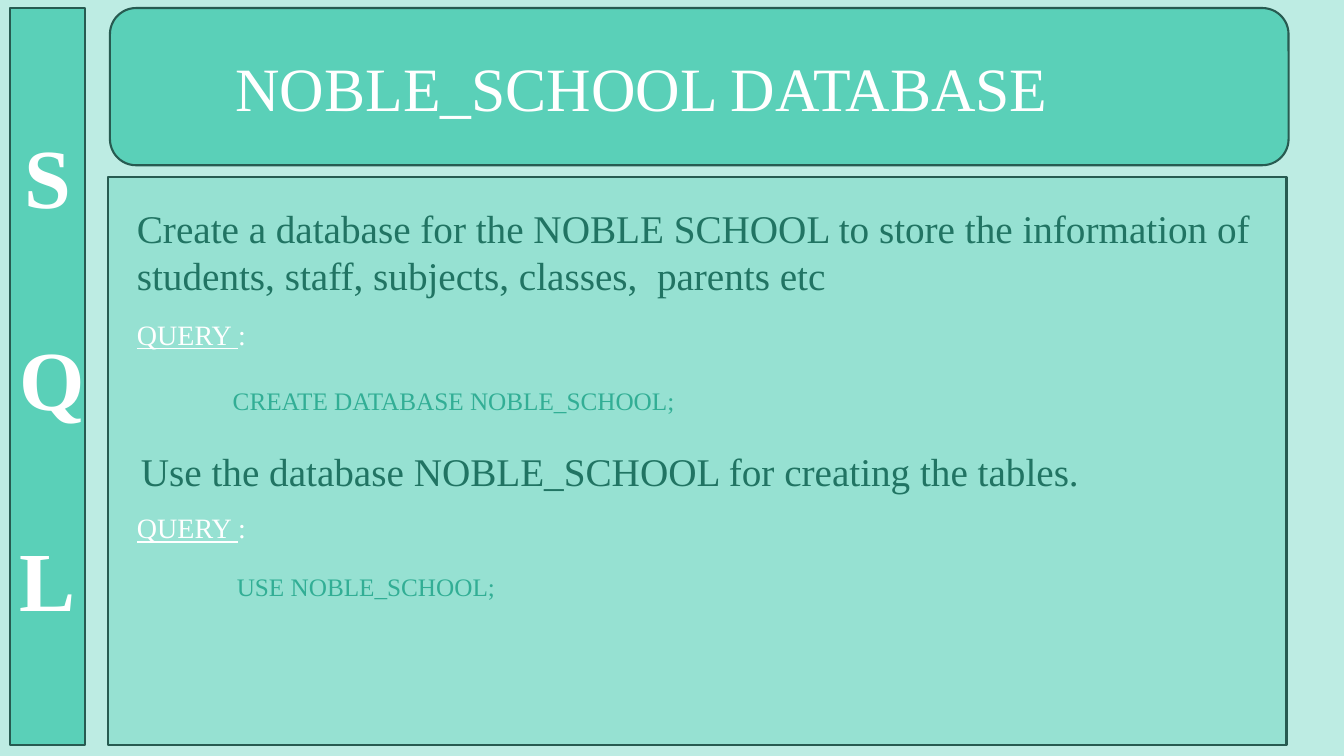
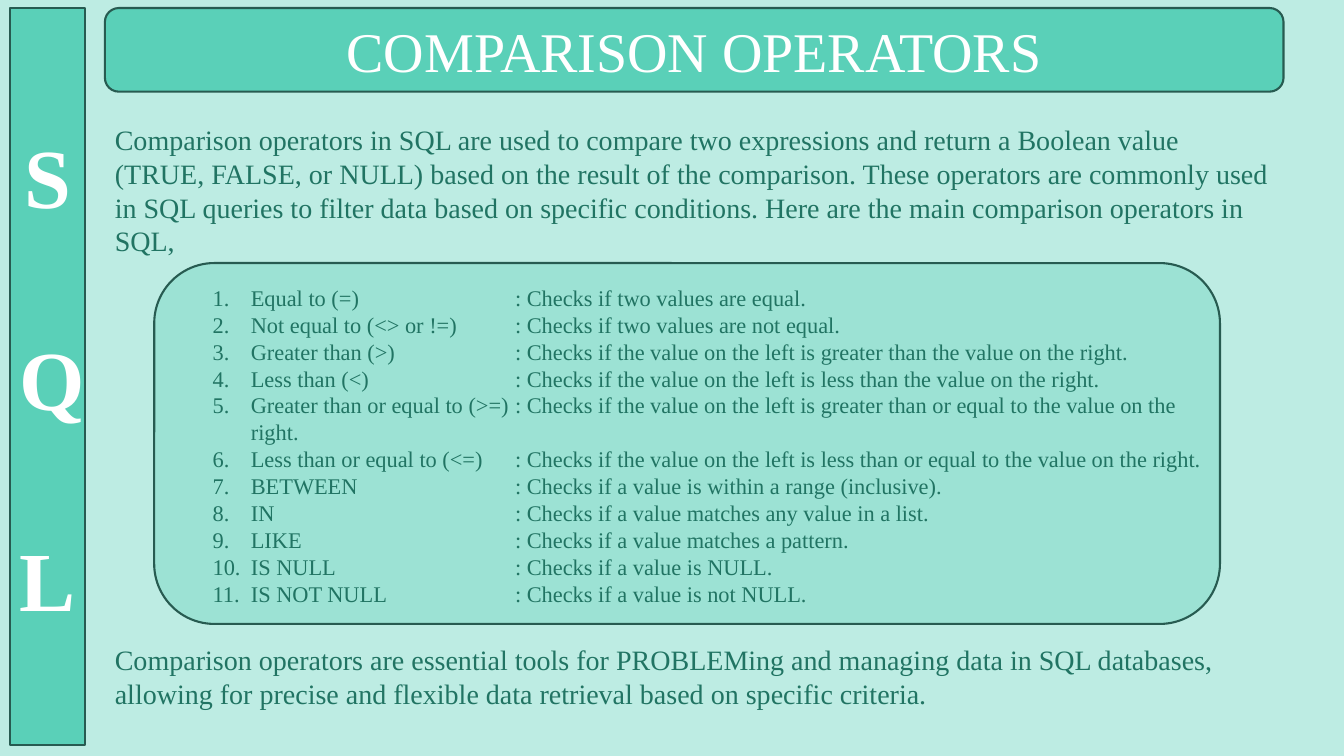
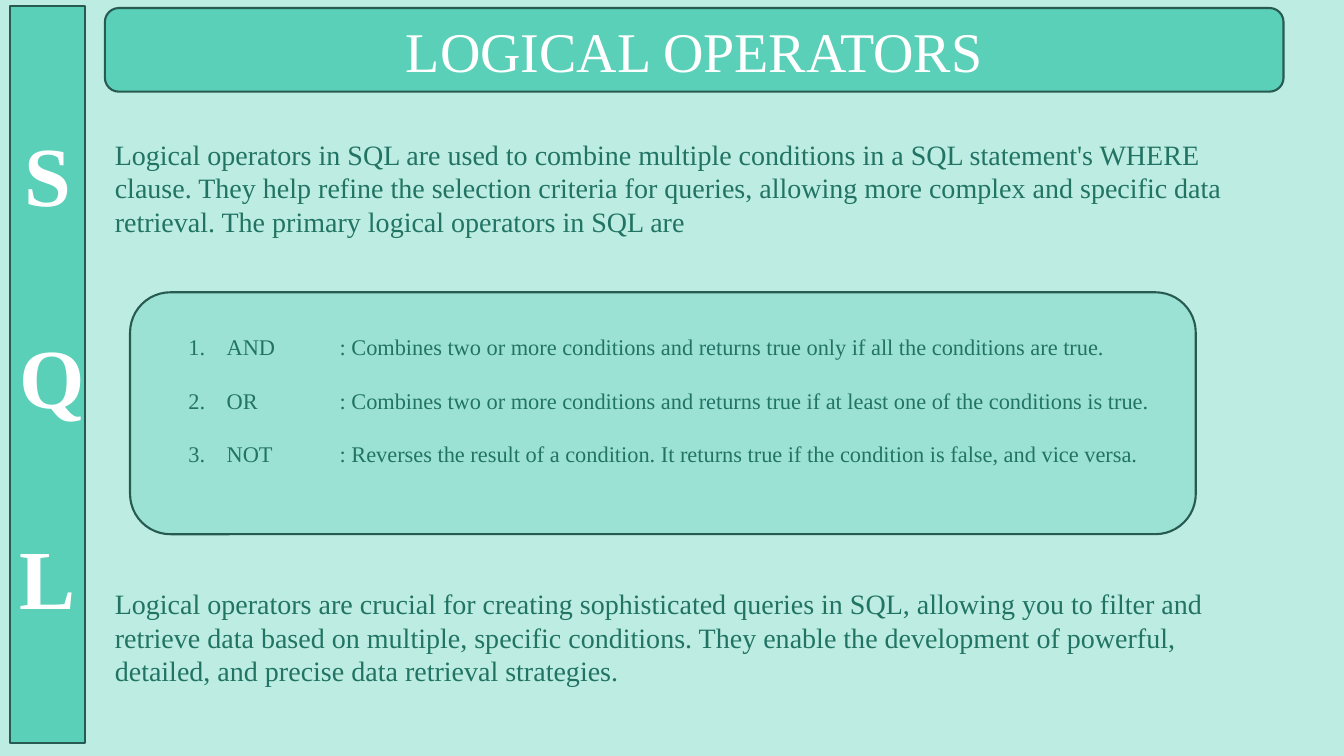
import pptx
import pptx.dml.color
import pptx.enum.shapes
import pptx.enum.text
import pptx.util
from pptx.oxml.xmlchemy import OxmlElement

RGB = pptx.dml.color.RGBColor
PALE = RGB(0xBD, 0xEC, 0xE3)
MINT = RGB(0x5A, 0xD0, 0xB8)
EDGE = RGB(0x27, 0x5B, 0x51)
DARK = RGB(0x21, 0x74, 0x63)
CODE = RGB(0x32, 0xAE, 0x95)
WHITE = RGB(0xFF, 0xFF, 0xFF)

FONT = "Times New Roman"
PX = 9144  # 100 px to the inch
RECT = pptx.enum.shapes.MSO_SHAPE.RECTANGLE
ROUND = pptx.enum.shapes.MSO_SHAPE.ROUNDED_RECTANGLE
LEFT = pptx.enum.text.PP_ALIGN.LEFT
CENTER = pptx.enum.text.PP_ALIGN.CENTER

COMPARE = [
    ("Equal to (=)", 4, "Checks if two values are equal."),
    ("Not equal to (<> or !=)", 2, "Checks if two values are not equal."),
    ("Greater than (>)", 3, "Checks if the value on the left is greater than the value on the right."),
    ("Less than (<)", 3, "Checks if the value on the left is less than the value on the right."),
    ("Greater than or equal to (>=)", 1,
     "Checks if the value on the left is greater than or equal to the value on the right."),
    ("Less than or equal to (<=)", 1,
     "Checks if the value on the left is less than or equal to the value on the right."),
    ("BETWEEN", 4, "Checks if a value is within a range (inclusive)."),
    ("IN", 5, "Checks if a value matches any value in a list."),
    ("LIKE", 5, "Checks if a value matches a pattern."),
    ("IS NULL", 4, "Checks if a value is NULL."),
    ("IS NOT NULL", 3, "Checks if a value is not NULL."),
]
LOGIC = [
    ("AND", 2, "Combines two or more conditions and returns true only if all the conditions are true."),
    ("OR", 2, "Combines two or more conditions and returns true if at least one of the conditions is true."),
    ("NOT", 2, "Reverses the result of a condition. It returns true if the condition is false, and vice versa."),
]


def scale(box):
    return [n * PX for n in box]


def add_run(para, text, size, color, bold=False, under=False):
    run = para.add_run()
    run.text = text
    font = run.font
    font.name = FONT
    font.size = pptx.util.Pt(size)
    font.color.rgb = color
    font.bold = bold
    font.underline = under


def add_panel(slide, kind, box, alpha=100):
    """Outlined mint shape; alpha is its opacity in percent."""
    shape = slide.shapes.add_shape(kind, *scale(box))
    shape.shadow.inherit = False
    shape.fill.solid()
    shape.fill.fore_color.rgb = MINT
    shape.line.color.rgb = EDGE
    shape.line.width = pptx.util.Pt(1.5)
    if alpha < 100:
        tint = OxmlElement("a:alpha")
        tint.set("val", str(alpha * 1000))
        shape.fill._xPr.find(".//" + pptx.oxml.ns.qn("a:srgbClr")).append(tint)
    return shape


def add_side(slide, top=8):
    frame = add_panel(slide, RECT, (10, top, 74, 731)).text_frame
    frame.vertical_anchor = pptx.enum.text.MSO_ANCHOR.MIDDLE
    for i, mark in enumerate("SQL"):
        para = frame.paragraphs[0] if i == 0 else frame.add_paragraph()
        para.alignment = CENTER
        if i:
            para.space_before = pptx.util.Pt(72)
        add_run(para, mark, 60, WHITE, bold=True)


def add_title(slide, text, box=(104, 8, 1169, 83), size=40, align=CENTER, indent=0):
    frame = add_panel(slide, ROUND, box).text_frame
    frame.vertical_anchor = pptx.enum.text.MSO_ANCHOR.MIDDLE
    para = frame.paragraphs[0]
    para.alignment = align
    if indent:
        para._p.get_or_add_pPr().set("marL", str(indent * PX))
    add_run(para, text, size, WHITE)


def add_frame(slide, box):
    frame = slide.shapes.add_textbox(*scale(box)).text_frame
    frame.word_wrap = True
    frame.auto_size = pptx.enum.text.MSO_AUTO_SIZE.SHAPE_TO_FIT_TEXT
    return frame


def add_text(slide, box, text, size=20, color=DARK):
    add_run(add_frame(slide, box).paragraphs[0], text, size, color)


def add_query(slide, top, box, code):
    """Underlined label at top, with its statement in box."""
    para = add_frame(slide, (126, top, 158, 44)).paragraphs[0]
    add_run(para, "QUERY ", 20, WHITE, under=True)
    add_run(para, ":", 20, WHITE)
    add_text(slide, box, code, 18, CODE)


def add_list(slide, box, rows, gap=0):
    """Numbered rows of name, tab count to the second column, meaning."""
    frame = add_frame(slide, box)
    for i, (name, tabs, text) in enumerate(rows):
        para = frame.paragraphs[0] if i == 0 else frame.add_paragraph()
        props = para._p.get_or_add_pPr()
        props.set("marL", str(38 * PX))
        props.set("indent", str(-38 * PX))
        mark = OxmlElement("a:buAutoNum")
        mark.set("type", "arabicPeriod")
        props.append(mark)
        if i and gap:
            para.space_before = pptx.util.Pt(gap)
        add_run(para, name + "\t" * tabs + ": " + text, 16, DARK)


def add_slide(deck):
    return deck.slides.add_slide(deck.slide_layouts[6])


def make_school(deck):
    slide = add_slide(deck)
    add_side(slide)
    add_title(slide, "NOBLE_SCHOOL DATABASE", (109, 8, 1169, 156), 44, LEFT, 107)
    add_panel(slide, RECT, (107, 176, 1169, 563), 39)
    add_text(slide, (126, 198, 1126, 104),
             "Create a database for the NOBLE SCHOOL to store the information of "
             "students, staff, subjects, classes,  parents etc", 28)
    add_query(slide, 310, (221, 377, 468, 40), "CREATE DATABASE NOBLE_SCHOOL;")
    add_text(slide, (130, 439, 1126, 57),
             "Use the database NOBLE_SCHOOL for creating the tables.", 28)
    add_query(slide, 502, (225, 562, 468, 40), "USE NOBLE_SCHOOL;")


def make_compare(deck):
    slide = add_slide(deck)
    add_panel(slide, ROUND, (153, 261, 1057, 358), 33)
    add_side(slide)
    add_title(slide, "COMPARISON OPERATORS")
    add_text(slide, (104, 117, 1169, 145),
             "Comparison operators in SQL are used to compare two expressions and return "
             "a Boolean value (TRUE, FALSE, or NULL) based on the result of the comparison. "
             "These operators are commonly used in SQL queries to filter data based on "
             "specific conditions. Here are the main comparison operators in SQL,")
    add_list(slide, (201, 277, 1009, 333), COMPARE)
    add_text(slide, (104, 633, 1169, 77),
             "Comparison operators are essential tools for PROBLEMing and managing data in "
             "SQL databases, allowing for precise and flexible data retrieval based on "
             "specific criteria.")


def make_logic(deck):
    slide = add_slide(deck)
    add_panel(slide, ROUND, (129, 290, 1057, 240), 33)
    add_side(slide, 6)
    add_title(slide, "LOGICAL OPERATORS")
    add_text(slide, (104, 131, 1169, 111),
             "Logical operators in SQL are used to combine multiple conditions in a SQL "
             "statement's WHERE clause. They help refine the selection criteria for queries, "
             "allowing more complex and specific data retrieval. The primary logical "
             "operators in SQL are")
    add_list(slide, (177, 326, 1009, 145), LOGIC, 19)
    add_text(slide, (104, 577, 1169, 111),
             "Logical operators are crucial for creating sophisticated queries in SQL, "
             "allowing you to filter and retrieve data based on multiple, specific "
             "conditions. They enable the development of powerful, detailed, and precise "
             "data retrieval strategies.")


def main():
    deck = pptx.Presentation()
    deck.slide_width, deck.slide_height = scale((1333, 750))
    back = deck.slide_master.background.fill
    back.solid()
    back.fore_color.rgb = PALE
    make_school(deck)
    make_compare(deck)
    make_logic(deck)
    deck.save("out.pptx")


if __name__ == "__main__":
    main()
